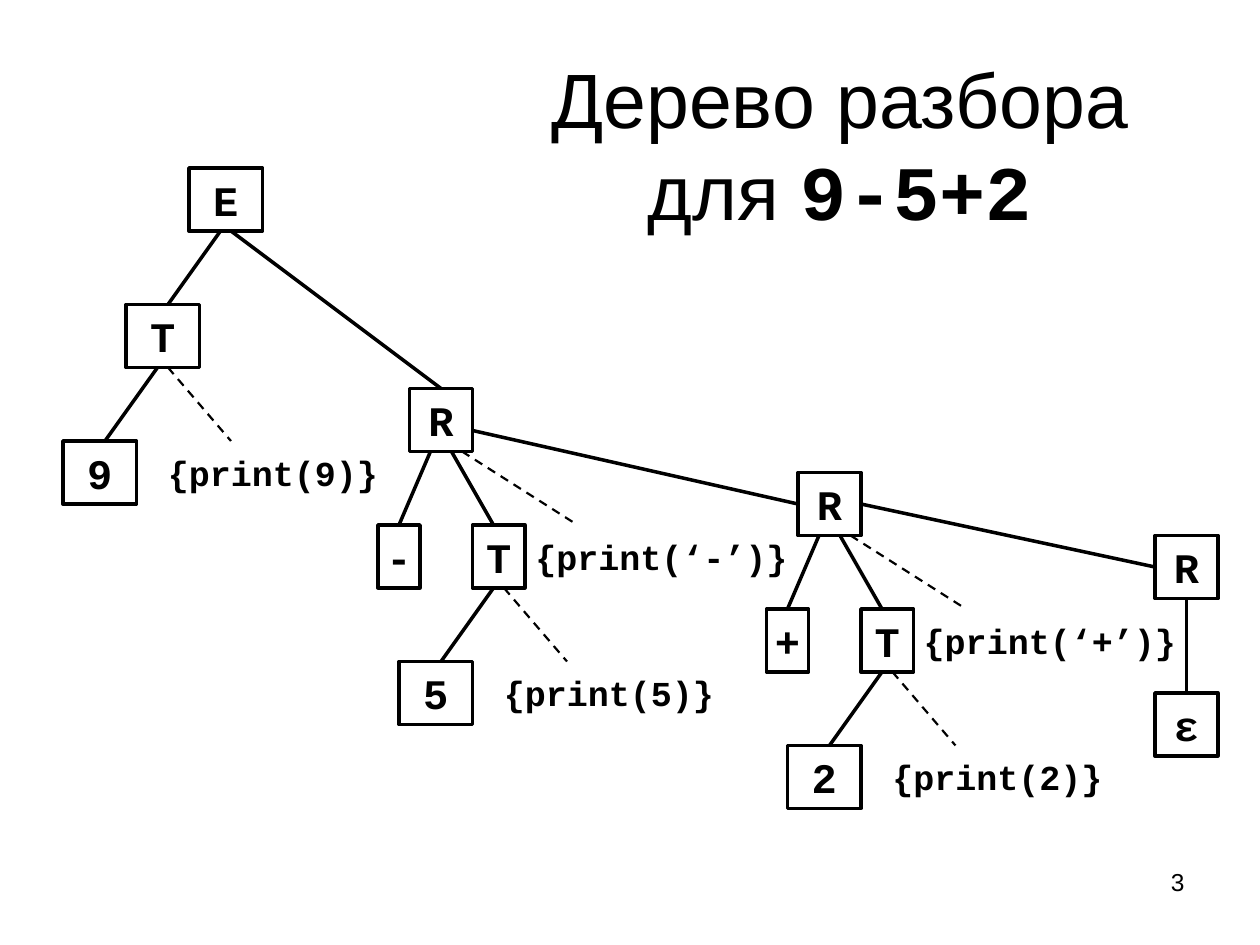
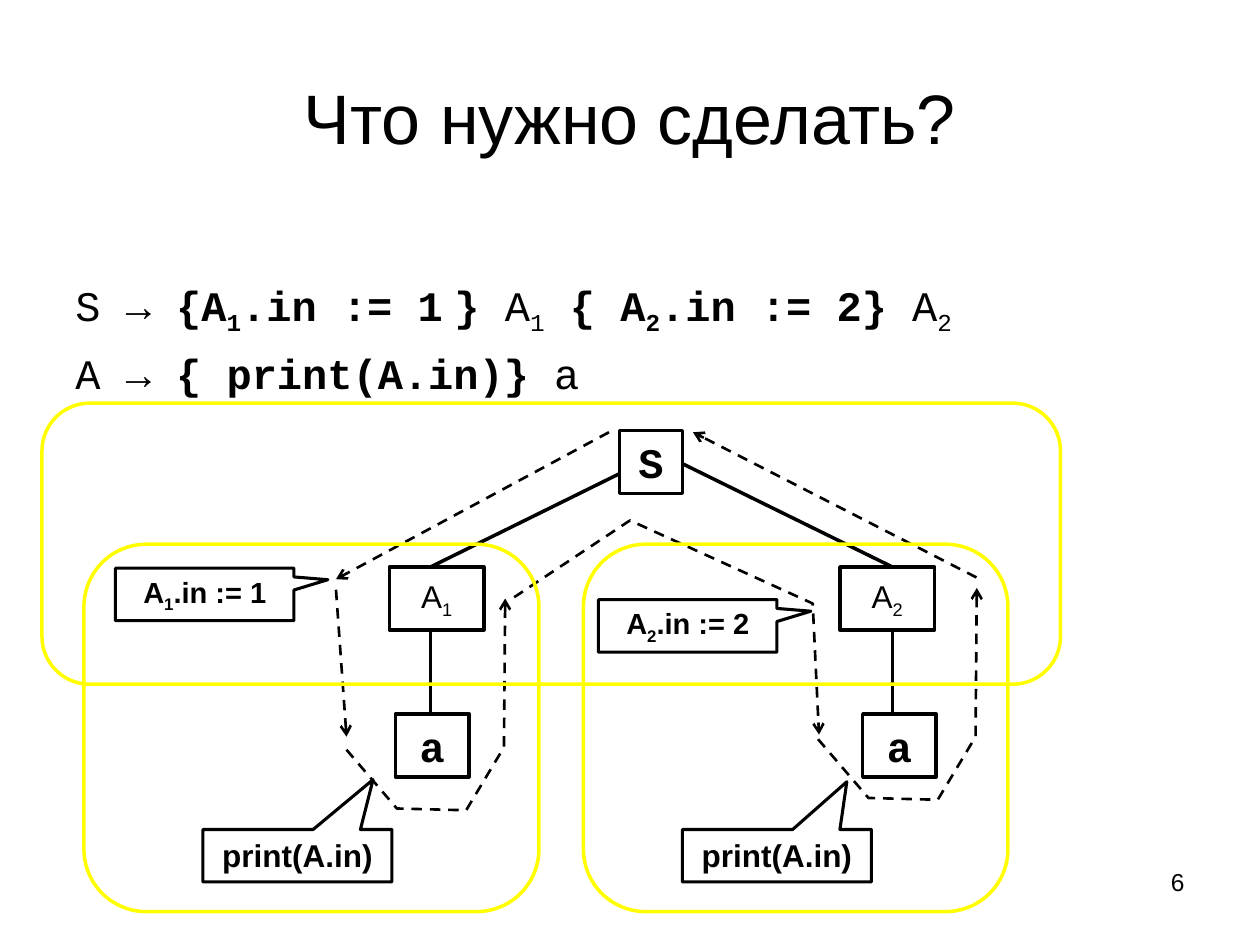
from pptx import Presentation
from pptx.dml.color import RGBColor
from pptx.enum.dml import MSO_LINE
from pptx.enum.shapes import MSO_CONNECTOR as Connector, MSO_SHAPE as Shape
from pptx.enum.text import MSO_ANCHOR as Anchor, MSO_AUTO_SIZE as AutoSize, PP_ALIGN as Align
from pptx.oxml.ns import qn
from pptx.util import Pt
from lxml.etree import SubElement

BLACK = RGBColor(0, 0, 0)
YELLOW = RGBColor(255, 255, 0)
SANS = "Arial"
MONO = "Courier New"
TITLE_ONLY = 5
SUBSCRIPT = {"baseline": "-25000"}
BOLD = {"bold": True}


class Deck:
    def __init__(self):
        self.presentation = Presentation()
        self.presentation.slide_width = Pt(720)
        self.presentation.slide_height = Pt(540)
        self.slide = None

    def start_slide(self, number, title_runs, title_box, title_size):
        layout = self.presentation.slide_layouts[TITLE_ONLY]
        self.slide = self.presentation.slides.add_slide(layout)
        title = self.slide.shapes.title
        title.left, title.top, title.width, title.height = map(Pt, title_box)
        self.fill_text(title, [title_runs], title_size)
        self.text([[(str(number), {})]], (516, 492, 168, 37), 14, align=Align.RIGHT)

    def fill_text(self, shape, paragraphs, size, font=SANS, bold=False, align=Align.CENTER,
                  anchor=Anchor.MIDDLE, wrap=True, space_before=0):
        """Fill a shape with paragraphs, each a list of (text, style changes)."""
        frame = shape.text_frame
        frame.auto_size = AutoSize.NONE
        frame.word_wrap = wrap
        frame.vertical_anchor = anchor
        for index, runs in enumerate(paragraphs):
            paragraph = frame.add_paragraph() if index else frame.paragraphs[0]
            paragraph.alignment = align
            paragraph.space_before = Pt(space_before)
            for text, changes in runs:
                run = paragraph.add_run()
                run.text = text
                run.font.name = changes.get("font", font)
                run.font.size = Pt(size)
                run.font.bold = changes.get("bold", bold)
                run.font.color.rgb = BLACK
                if "baseline" in changes:
                    run._r.get_or_add_rPr().set("baseline", changes["baseline"])

    def text(self, paragraphs, box, size, anchor=Anchor.TOP, **style):
        shape = self.slide.shapes.add_textbox(*map(Pt, box))
        self.fill_text(shape, paragraphs, size, anchor=anchor, **style)

    def outline(self, kind, box, color=BLACK, width=2, adjustments=()):
        shape = self.slide.shapes.add_shape(kind, *map(Pt, box))
        for index, value in enumerate(adjustments):
            shape.adjustments[index] = value
        shape.shadow.inherit = False
        shape.fill.background()
        self.stroke(shape, width, color=color)
        return shape

    def node(self, label, left, top, width=42):
        shape = self.outline(Shape.RECTANGLE, (left, top, width, 36))
        self.fill_text(shape, [[(label, {})]], 24, MONO, bold=True, wrap=False)

    def indexed_node(self, index, left, top):
        shape = self.outline(Shape.RECTANGLE, (left, top, 54, 36))
        self.fill_text(shape, [[("A", {}), (index, SUBSCRIPT)]], 18, wrap=False)

    def action(self, code, left, top):
        self.text([[(code, {})]], (left, top, 132, 36), 20, Anchor.MIDDLE,
                  font=MONO, bold=True, wrap=False, align=Align.CENTER)

    def callout(self, runs, box, pointer, size):
        shape = self.outline(Shape.RECTANGULAR_CALLOUT, box, width=1.75, adjustments=pointer)
        self.fill_text(shape, [runs], size, bold=True, anchor=Anchor.TOP)

    def stroke(self, shape, width, dashed=False, arrow=False, color=BLACK):
        shape.line.color.rgb = color
        shape.line.width = Pt(width)
        if dashed:
            shape.line.dash_style = MSO_LINE.DASH
        if arrow:
            SubElement(shape.line._get_or_add_ln(), qn("a:tailEnd"), type="arrow")

    def edge(self, start, end, width=2, dashed=False, arrow=False):
        line = self.slide.shapes.add_connector(Connector.STRAIGHT, *map(Pt, start + end))
        self.stroke(line, width, dashed, arrow)
        SubElement(line._element.spPr, qn("a:effectLst"))

    def action_edge(self, start, end):
        self.edge(start, end, width=1.25, dashed=True)

    def route(self, *points):
        """Dashed traversal arrow through two or more points."""
        if len(points) == 2:
            self.edge(*points, width=1.5, dashed=True, arrow=True)
            return
        corners = [(Pt(x), Pt(y)) for x, y in points]
        builder = self.slide.shapes.build_freeform(*corners[0], scale=1.0)
        builder.add_line_segments(corners[1:], close=False)
        shape = builder.convert_to_shape()
        shape.shadow.inherit = False
        shape.fill.background()
        self.stroke(shape, 1.5, dashed=True, arrow=True)

    def region(self, *box):
        self.outline(Shape.ROUNDED_RECTANGLE, box, YELLOW, adjustments=(0.17,))


def add_digit_branch(deck, digit, x, y):
    """Digit and its print action below the point (x, y) of a T node."""
    deck.action_edge((x + 6, y), (x + 42, y + 42))
    deck.edge((x - 30, y + 42), (x, y))
    deck.node(digit, x - 54, y + 42)
    deck.action(f"{{print({digit})}}", x, y + 42)


def add_operator_branch(deck, operator, digit, x, y):
    """R node at (x, y) with its operator, T node and print actions."""
    below, row = y + 36, y + 78
    deck.node("R", x, y, 36)
    deck.edge((x - 6, row), (x + 12, below))
    deck.node(operator, x - 18, row, 24)
    deck.node("T", x + 36, row, 30)
    deck.action_edge((x + 30, below), (x + 96, row))
    deck.edge((x + 48, row), (x + 24, below))
    deck.action(f"{{print(‘{operator}’)}}", x + 78, row)
    add_digit_branch(deck, digit, x + 48, row + 36)


def add_parse_tree_slide(deck):
    title = [("Дерево разбора для ", {}), ("9-5+2", {"font": MONO, "bold": True})]
    deck.start_slide(3, title, (276, 6, 408, 152.5), 44)
    deck.node("E", 108, 96)
    deck.edge((96, 174), (126, 132))
    deck.node("T", 72, 174)
    add_digit_branch(deck, "9", 90, 210)
    deck.edge((252, 222), (132, 132))
    add_operator_branch(deck, "-", "5", 234, 222)
    add_operator_branch(deck, "+", "2", 456, 270)
    deck.edge((456, 288), (270, 246))
    deck.node("R", 660, 306, 36)
    deck.node("ε", 660, 396, 36)
    deck.edge((678, 396), (678, 342))
    deck.edge((660, 324), (492, 288))


def add_traversal_slide(deck):
    deck.start_slide(6, [("Что нужно сделать?", {})], (36, 21.6, 648, 90), 40)
    bold_subscript = BOLD | SUBSCRIPT
    grammar = [
        [("S → ", {}), ("{A", BOLD), ("1", bold_subscript), (".in := 1", BOLD),
         (" ", {"font": SANS}), ("} ", BOLD), ("A", {}), ("1", SUBSCRIPT), (" ", {}),
         ("{ A", BOLD), ("2", bold_subscript), (".in := 2}", BOLD), (" A", {}),
         ("2", SUBSCRIPT)],
        [("A → ", {}), ("{ print(A.in)} ", BOLD), ("a", {})],
    ]
    deck.text(grammar, (36, 156, 648, 78), 24, font=MONO, align=Align.LEFT, space_before=6)

    deck.node("S", 354, 246, 36)
    deck.edge((246, 324), (354, 270.7))
    deck.edge((510, 324), (390, 265))
    for index, center, left, leaf_left in (("1", 246, 222.5, 226), ("2", 510, 480, 493)):
        deck.indexed_node(index, left, 324)
        deck.node("a", leaf_left, 408)
        deck.edge((center, 408), (center, 360))

    deck.route((348, 247), (192, 331))
    deck.route((192, 337), (198, 421))
    deck.route((293.8, 341.3), (360, 297.4), (464.4, 344.9), (468, 419.8))
    deck.route((558, 330), (396, 247))
    around_leaf = [(198, 428.4), (226.8, 462), (266.4, 463), (288, 427), (288.7, 342)]
    for dx, dy in ((0, 0), (269.5, -6)):
        deck.route(*[(x + dx, y + dy) for x, y in around_leaf])

    for index, left, top in (("1", 66, 324.7), ("2", 342, 342.7)):
        assignment = [("A", {}), (index, SUBSCRIPT), (f".in := {index}", {})]
        deck.callout(assignment, (left, top, 102, 30), (0.69, -0.28), 16.6)
    for left, pointer in ((116, (0.4, -1.45)), (390, (0.37, -1.41))):
        deck.callout([("print(A.in)", {})], (left, 474, 108, 30), pointer, 18)

    deck.region(48, 311, 260, 210)
    deck.region(333.4, 311, 242.6, 210)
    deck.region(24, 230.4, 582, 160.6)


def main():
    deck = Deck()
    add_parse_tree_slide(deck)
    add_traversal_slide(deck)
    deck.presentation.save("out.pptx")


if __name__ == "__main__":
    main()
